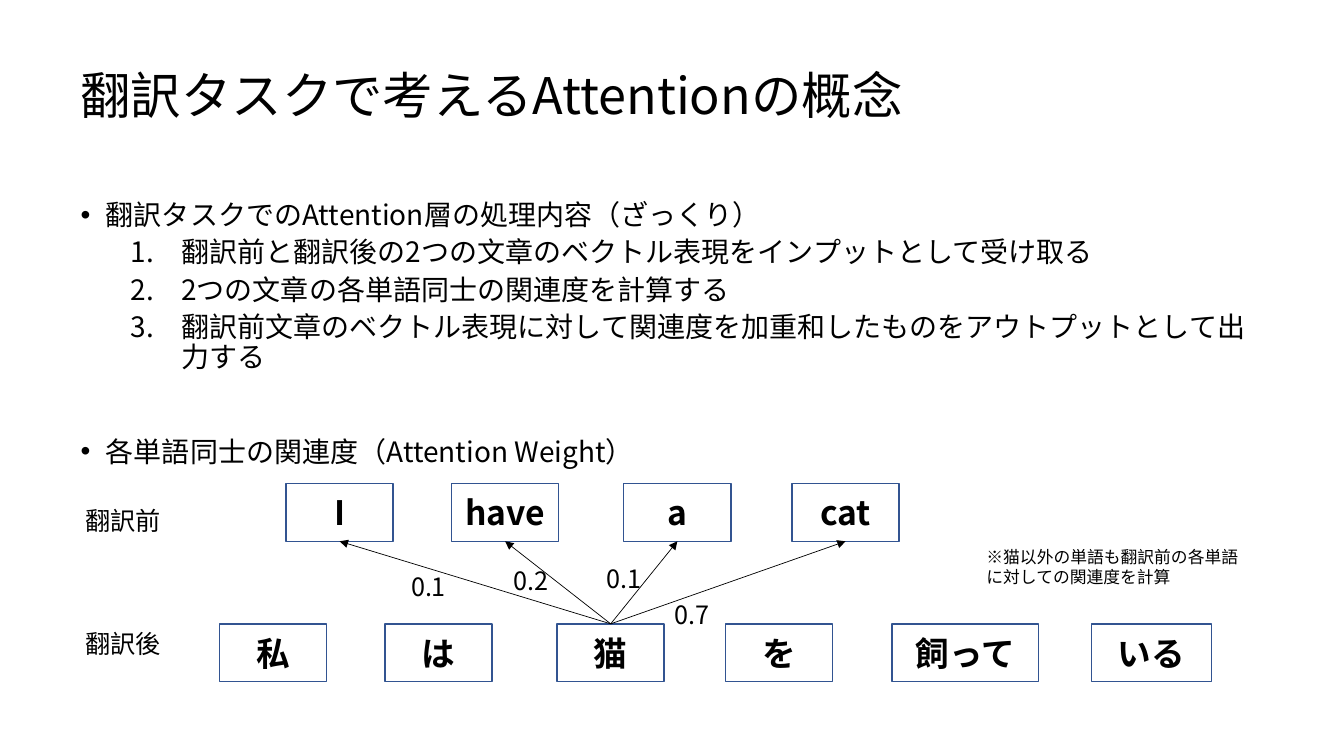
"""Build the slide on attention weights in a translation task."""
from dataclasses import dataclass
from typing import Optional

from lxml.etree import SubElement as Sub
from pptx import Presentation
from pptx.dml.color import RGBColor as Rgb
from pptx.enum.shapes import MSO_CONNECTOR as Link, MSO_SHAPE as Form
from pptx.enum.text import MSO_ANCHOR as Anchor, PP_ALIGN as Align
from pptx.oxml.ns import qn
from pptx.util import Cm, Pt


@dataclass(frozen=True)
class Theme:
    font: str = "Noto Sans CJK JP"
    ink: Rgb = Rgb(0, 0, 0)
    edge: Rgb = Rgb(0x32, 0x54, 0x91)
    title: int = 36
    word: int = 24
    body: int = 20
    label: int = 18
    note: int = 12


@dataclass(frozen=True)
class Item:
    text: str
    mark: str = "•"
    gap: int = 10


@dataclass(frozen=True)
class Word:
    text: str
    left: float
    width: float = 2.7


@dataclass(frozen=True)
class Weight:
    text: str
    left: float
    top: float


THEME = Theme()
STEP = "arabicPeriod"
ITEMS = (
    Item("翻訳タスクでのAttention層の処理内容（ざっくり）"),
    Item("翻訳前と翻訳後の2つの文章のベクトル表現をインプットとして受け取る", STEP, 5),
    Item("2つの文章の各単語同士の関連度を計算する", STEP, 5),
    Item("翻訳前文章のベクトル表現に対して関連度を加重和したものを"
         "アウトプットとして出力する", STEP, 5),
    Item("各単語同士の関連度（Attention Weight）", gap=46),
)
LEFTS = (7.21, 11.38, 15.72, 19.96)
SHIFT = 1.68
SOURCE = [Word(text, left) for text, left in zip(("I", "have", "a", "cat"), LEFTS)]
TARGET = [Word(text, left - SHIFT) for text, left in zip("私は猫を", LEFTS)]
TARGET += [Word("飼って", 22.48, 3.7), Word("いる", 27.51, 3.02)]
WEIGHTS = (
    Weight("0.1", 9.45, 14.27),
    Weight("0.2", 12.04, 14.12),
    Weight("0.1", 14.38, 14.07),
    Weight("0.7", 16.1, 14.99),
)
HIGH, LOW = 12.19, 15.72


def write(para, text: str, *, size: int, bold: bool = False,
          align: Optional[Align] = None, line: Optional[float] = None,
          gap: Optional[int] = None) -> None:
    run = para.add_run()
    run.text = text
    font = run.font
    font.size, font.bold, font.name = Pt(size), bold, THEME.font
    font.color.rgb = THEME.ink
    Sub(run._r.get_or_add_rPr(), qn("a:ea"), typeface=THEME.font)
    para.alignment = align
    para.line_spacing = line
    if gap is not None:
        para.space_before = Pt(gap)


def add_frame(slide, left: float, top: float, width: float, height: float):
    frame = slide.shapes.add_textbox(Cm(left), Cm(top), Cm(width), Cm(height)).text_frame
    frame.word_wrap = True
    return frame


def add_label(slide, text: str, left: float, top: float, **style) -> None:
    frame = add_frame(slide, left, top, 2.7, 1.03)
    write(frame.paragraphs[0], text, size=THEME.label, **style)


def add_mark(para, mark: str) -> None:
    props = para._p.get_or_add_pPr()
    step = mark == STEP
    para.level = int(step)
    left, hang = (2.54, 1.27) if step else (0.64, 0.64)
    props.set("marL", str(Cm(left)))
    props.set("indent", str(-Cm(hang)))
    if step:
        Sub(props, qn("a:buFont"), typeface=THEME.font)
        Sub(props, qn("a:buAutoNum"), type=mark)
    else:
        Sub(props, qn("a:buFont"), typeface="Arial")
        Sub(props, qn("a:buChar"), char=mark)


def add_list(slide) -> None:
    frame = add_frame(slide, 1.78, 4.95, 30.3, 12.22)
    for index, item in enumerate(ITEMS):
        para = frame.add_paragraph() if index else frame.paragraphs[0]
        write(para, item.text, size=THEME.body, line=0.9, gap=item.gap)
        add_mark(para, item.mark)


def add_word(slide, word: Word, top: float):
    box = slide.shapes.add_shape(
        Form.RECTANGLE, Cm(word.left), Cm(top), Cm(word.width), Cm(1.45))
    box.shadow.inherit = False
    box.fill.background()
    box.line.color.rgb = THEME.edge
    box.line.width = Pt(1)
    frame = box.text_frame
    frame.vertical_anchor = Anchor.MIDDLE
    write(frame.paragraphs[0], word.text, size=THEME.word, bold=True, align=Align.CENTER)
    return box


def add_arrow(slide, start, end) -> None:
    arrow = slide.shapes.add_connector(Link.STRAIGHT, 0, 0, 0, 0)
    arrow.begin_connect(start, 0)
    arrow.end_connect(end, 2)
    arrow.line.color.rgb = THEME.ink
    arrow.line.width = Pt(0.5)
    Sub(arrow.line._get_or_add_ln(), qn("a:tailEnd"), type="triangle")
    Sub(arrow._element.spPr, qn("a:effectLst"))


def main() -> None:
    deck = Presentation()
    deck.slide_width, deck.slide_height = Cm(33.87), Cm(19.05)
    slide = deck.slides.add_slide(deck.slide_layouts[6])

    head = add_frame(slide, 1.78, 0.89, 30.3, 3.15)
    head.vertical_anchor = Anchor.MIDDLE
    write(head.paragraphs[0], "翻訳タスクで考えるAttentionの概念", size=THEME.title, line=0.9)
    add_list(slide)

    above = [add_word(slide, word, HIGH) for word in SOURCE]
    below = [add_word(slide, word, LOW) for word in TARGET]
    cat = below[2]
    for box in above:
        add_arrow(slide, cat, box)

    add_label(slide, "翻訳前", 1.9, 12.62)
    add_label(slide, "翻訳後", 1.9, LOW)
    for weight in WEIGHTS:
        add_label(slide, weight.text, weight.left, weight.top, align=Align.CENTER)

    note = add_frame(slide, 24.61, 13.64, 7.04, 1.27)
    write(note.paragraphs[0], "※猫以外の単語も翻訳前の各単語に対しての関連度を計算", size=THEME.note)
    deck.save("out.pptx")


main()
